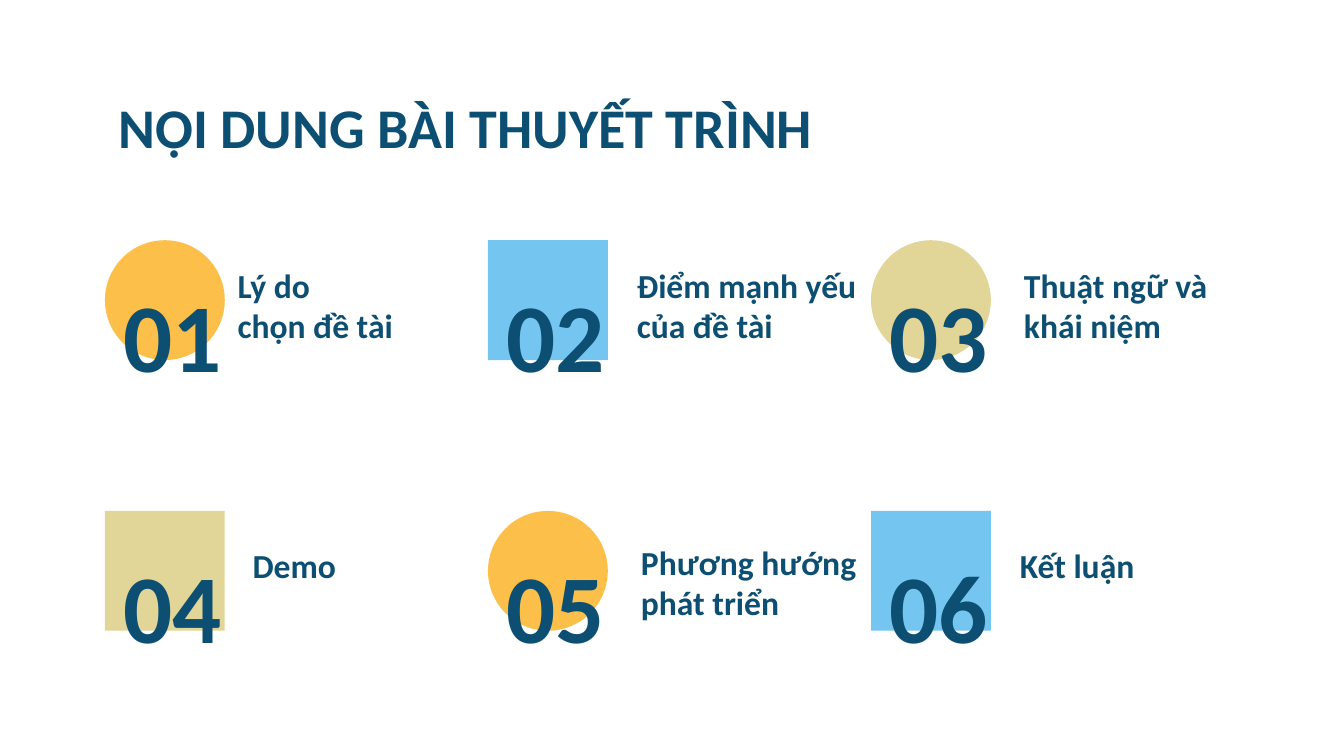
from pptx import Presentation
from pptx.dml.color import RGBColor
from pptx.enum.shapes import MSO_SHAPE
from pptx.enum.text import MSO_ANCHOR, MSO_AUTO_SIZE, PP_ALIGN
from pptx.util import Pt

OVAL, RECT = MSO_SHAPE.OVAL, MSO_SHAPE.RECTANGLE
TOP, MIDDLE, BOTTOM = MSO_ANCHOR.TOP, MSO_ANCHOR.MIDDLE, MSO_ANCHOR.BOTTOM
LEFT, CENTER = PP_ALIGN.LEFT, PP_ALIGN.CENTER

# Content: label, label offset from its cell (x, y)
TITLE = "NỘI DUNG BÀI THUYẾT TRÌNH"
TOPICS = [
    ("Lý do\nchọn đề tài", 64, 28.8),
    ("Điểm mạnh yếu của đề tài", 72.7, 28.8),
    ("Thuật ngữ và khái niệm", 74.9, 28.8),
    ("Demo", 72, 12.2),
    ("Phương hướng phát triển", 74.9, 32.4),
    ("Kết luận", 72.7, 12.2),
]

# Style and grid, in points
NAVY, YELLOW, BLUE, SAND = "0C4F72", "FCBF49", "74C6F0", "E1D597"
ROW_COLORS = [(YELLOW, BLUE, SAND), (SAND, YELLOW, BLUE)]
COLS = 3
GRID_X, GRID_Y = 56.2, 128.7
STEP_X, STEP_Y = 205.2, 145
BADGE = 64.2
NUMBER_W, NUMBER_H, NUMBER_DY = 72.7, 76.3, 12
LABEL_W, LABEL_H = 132.5, 34.6


def color(value):
    return RGBColor.from_string(value)


def write(sp, text, size, anchor, align=LEFT):
    tf = sp.text_frame
    frame = dict(word_wrap=True, auto_size=MSO_AUTO_SIZE.NONE, vertical_anchor=anchor)
    for side in ("left", "top", "right", "bottom"):
        frame[f"margin_{side}"] = Pt(7.2)
    for name, value in frame.items():
        setattr(tf, name, value)
    p = tf.paragraphs[0]
    p.text, p.alignment = text, align
    for r in p.runs:
        for name, value in dict(name="Calibri", size=Pt(size), bold=True).items():
            setattr(r.font, name, value)
        r.font.color.rgb = color(NAVY)


def add_badge(s, kind, x, y, fill):
    sp = s.shapes.add_shape(kind, Pt(x), Pt(y), Pt(BADGE), Pt(BADGE))
    sp.shadow.inherit = False
    sp.fill.solid()
    sp.fill.fore_color.rgb = color(fill)
    sp.line.fill.background()


def add_text(s, x, y, w, h, *style):
    write(s.shapes.add_textbox(Pt(x), Pt(y), Pt(w), Pt(h)), *style)


prs = Presentation()
prs.slide_width, prs.slide_height = Pt(720), Pt(405)
s = prs.slides.add_slide(prs.slide_layouts[5])

# Title
title = s.shapes.title
title.left, title.top, title.width, title.height = Pt(56.2), Pt(42.5), Pt(607.7), Pt(45.4)
write(title, TITLE, 30, TOP)

# Numbered topics: circles and squares alternate
for i, (label, dx, dy) in enumerate(TOPICS):
    row, col = divmod(i, COLS)
    x, y = GRID_X + col * STEP_X, GRID_Y + row * STEP_Y
    add_badge(s, RECT if i % 2 else OVAL, x, y, ROW_COLORS[row][col])
    add_text(s, x, y + NUMBER_DY, NUMBER_W, NUMBER_H, f"{i + 1:02}", 52, MIDDLE, CENTER)
    add_text(s, x + dx, y + dy, LABEL_W, LABEL_H, label, 18, BOTTOM)

prs.save("out.pptx")
